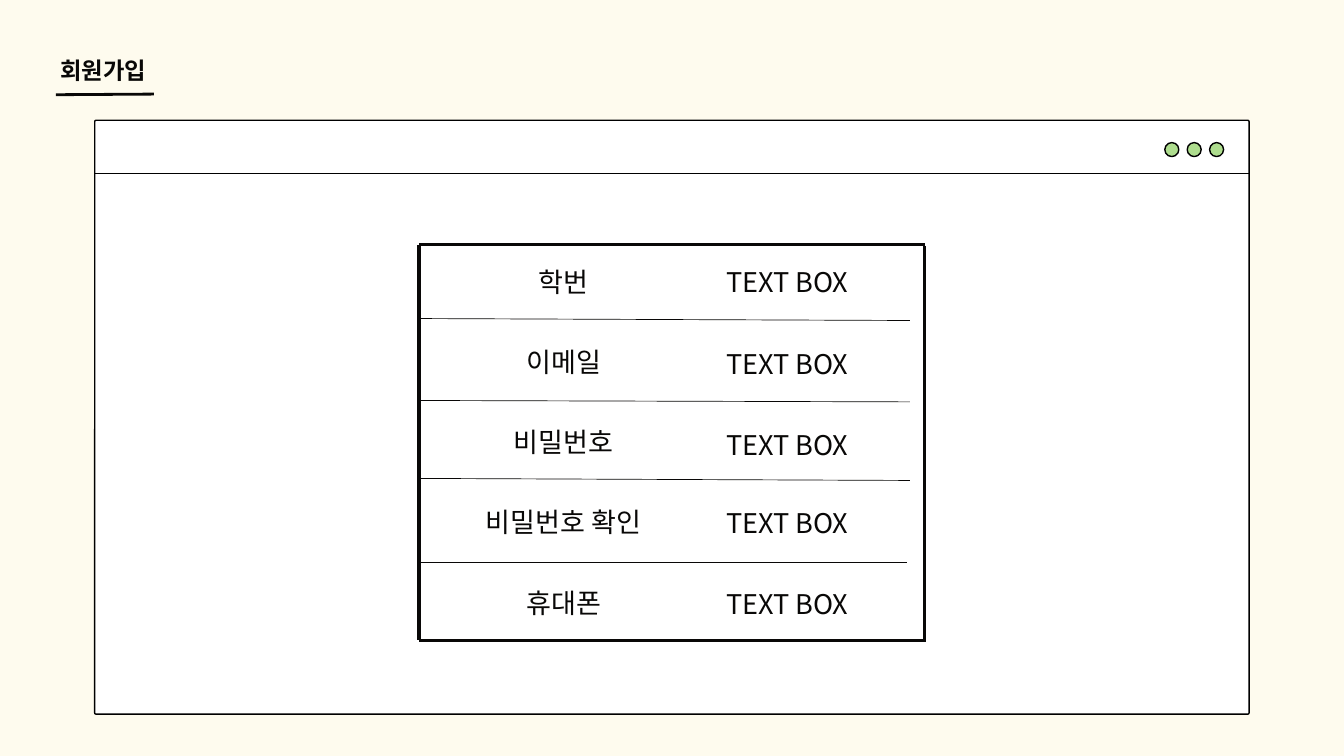
from lxml import etree
from pptx import Presentation
from pptx.dml.color import RGBColor
from pptx.enum.shapes import MSO_CONNECTOR, MSO_SHAPE
from pptx.enum.text import MSO_ANCHOR, PP_ALIGN
from pptx.oxml.ns import qn
from pptx.util import Pt

STRAIGHT = MSO_CONNECTOR.STRAIGHT
ROUNDED, OVAL = MSO_SHAPE.ROUNDED_RECTANGLE, MSO_SHAPE.OVAL
LEFT, CENTER = PP_ALIGN.LEFT, PP_ALIGN.CENTER
TOP = MSO_ANCHOR.TOP

CREAM = RGBColor(0xFE, 0xFB, 0xEE)
INK = RGBColor(0x09, 0x08, 0x07)
BLACK = RGBColor(0, 0, 0)
WHITE = RGBColor(0xFF, 0xFF, 0xFF)
GREEN = RGBColor(0xAE, 0xDD, 0x8E)
FONT = "Noto Sans CJK SC"

prs = Presentation()
prs.slide_width, prs.slide_height = Pt(1440), Pt(810)
slide = prs.slides.add_slide(prs.slide_layouts[6])
slide.background.fill.solid()
slide.background.fill.fore_color.rgb = CREAM


def add_text(text, *, left, top, width, height=37.4, size=29, spacing=40.6,
             bold=False, align=CENTER):
    frame = slide.shapes.add_textbox(Pt(left), Pt(top), Pt(width), Pt(height)).text_frame
    frame.margin_left = frame.margin_right = frame.margin_top = frame.margin_bottom = 0
    frame.word_wrap = True
    frame.vertical_anchor = TOP
    paragraph = frame.paragraphs[0]
    paragraph.alignment = align
    paragraph.line_spacing = Pt(spacing)
    run = paragraph.add_run()
    run.text = text
    run.font.size, run.font.bold, run.font.name = Pt(size), bold, FONT
    run.font.color.rgb = INK
    # Korean glyphs use the East Asian font slot
    etree.SubElement(run.font._element, qn("a:ea"), typeface=FONT)


def add_line(x1, y1, x2, y2, weight, color=INK):
    line = slide.shapes.add_connector(STRAIGHT, Pt(x1), Pt(y1), Pt(x2), Pt(y2))
    line.line.color.rgb = color
    line.line.width = Pt(weight)
    etree.SubElement(line._element.spPr, qn("a:effectLst"))


# Title and underline
add_line(59.8, 101.5, 164.9, 100.8, 3)
add_text("회원가입", left=64.8, top=55.4, width=95, height=33.1, size=25,
         spacing=35, bold=True, align=LEFT)

# Browser window: frame, then the three buttons
window_parts = [(ROUNDED, 101.5, 128.9, 1236.8, 636.3, WHITE)]
window_parts += [(OVAL, 1296 - 24 * i, 152.8, 15, 15, GREEN) for i in range(3)]
for kind, left, top, width, height, color in window_parts:
    part = slide.shapes.add_shape(kind, Pt(left), Pt(top), Pt(width), Pt(height))
    part.shadow.inherit = False
    part.fill.solid()
    part.fill.fore_color.rgb = color
    part.line.color.rgb = BLACK
    part.line.width = Pt(1.5)
    if kind == ROUNDED:
        part.adjustments[0] = 0.0023
add_line(101.5, 185.8, 1338.5, 185.8, 1.88, BLACK)

# Form fields: label, label width, top of the value
fields = [
    ("학번", 55.4, 278.6),
    ("이메일", 82.8, 366.5),
    ("비밀번호", 110.2, 453.6),
    ("비밀번호 확인", 173.5, 536.4),
    ("휴대폰", 82.8, 623.5),
]
LABEL_CENTER, FIRST_TOP, LABEL_STEP = 604, 278.6, 85.9
for i, (label, width, value_top) in enumerate(fields):
    add_text(label, left=LABEL_CENTER - width / 2, top=FIRST_TOP + LABEL_STEP * i, width=width)
    add_text("TEXT BOX", left=764.6, top=value_top, width=157.7)

# Form border
add_line(449.3, 262.1, 449.3, 686.2, 4)
add_line(449.3, 686.2, 989.3, 686.2, 4)
add_line(990.7, 263.5, 990.7, 687.6, 4)
add_line(449.3, 262.1, 990.7, 262.1, 4)

# Row dividers, slightly slanted
for y1, x2, y2 in [(341.3, 974.9, 343.4), (429.1, 974.9, 430.6),
                   (512.6, 974.9, 514.8), (602.6, 972, 602.6)]:
    add_line(447.8, y1, x2, y2, 0.75)

prs.save("out.pptx")
